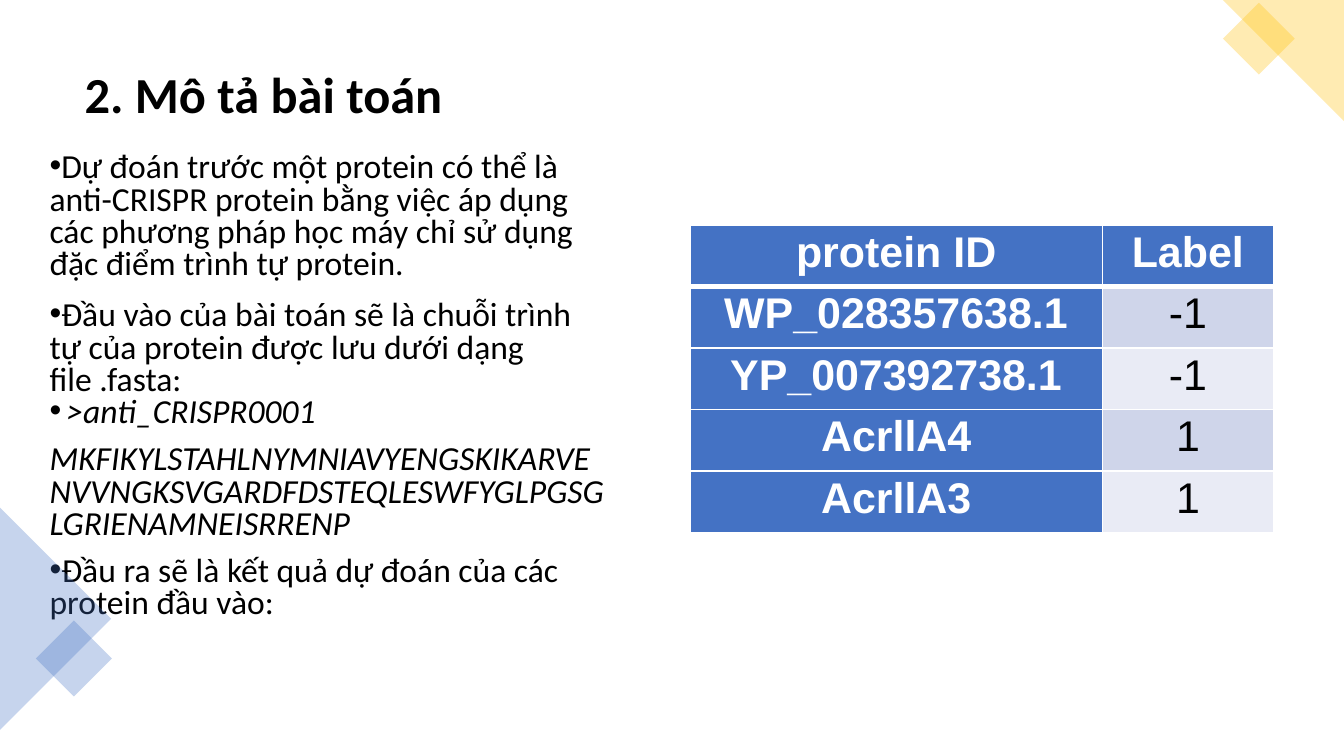
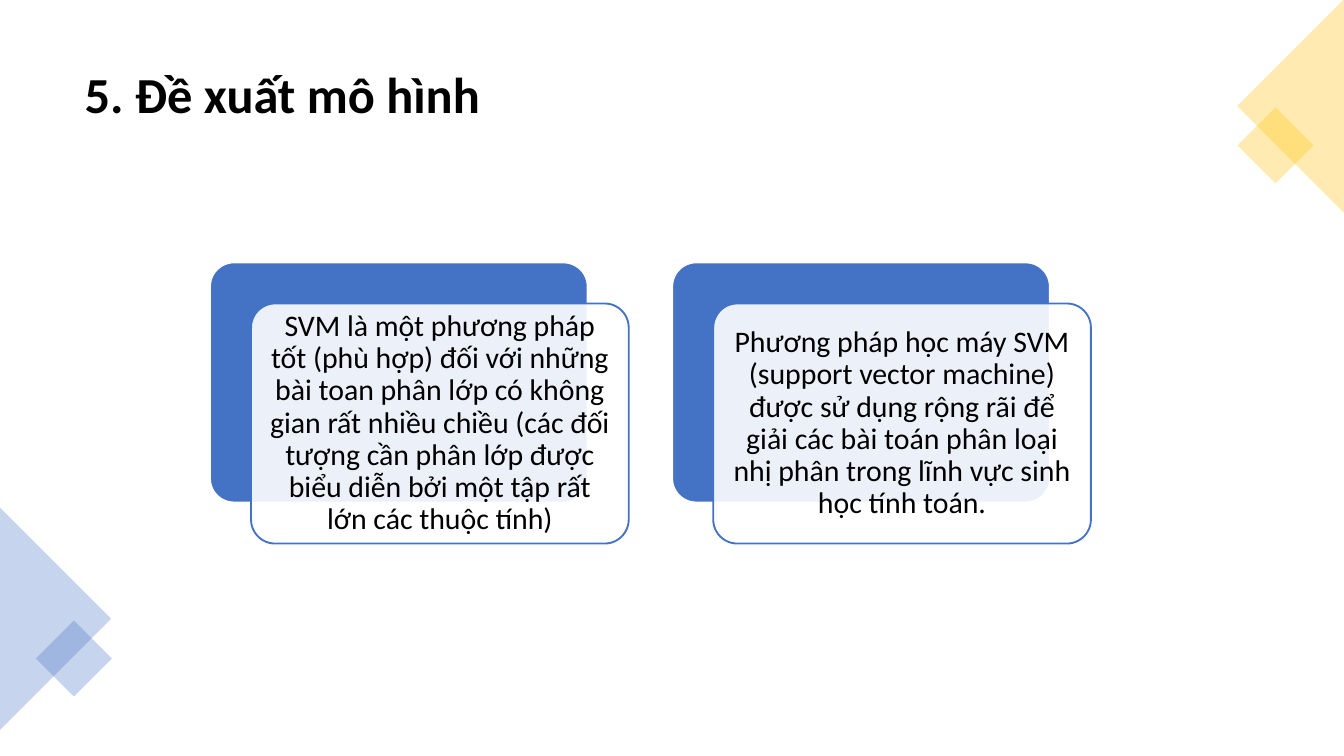
from lxml.etree import SubElement
from pptx import Presentation
from pptx.dml.color import RGBColor
from pptx.enum.shapes import MSO_SHAPE
from pptx.enum.text import MSO_ANCHOR, PP_ALIGN
from pptx.oxml.ns import qn
from pptx.util import Pt

COLORS = {
    "blue": "4472C4", "gold": "FFC000", "white": "FFFFFF", "black": "000000",
    "band_dark": "CFD5EA", "band_light": "E9EBF5",
}
BULLET_INDENT = 18

DESCRIPTION = [
    ("Dự đoán trước một protein có thể là anti-CRISPR protein bằng việc áp dụng các "
     "phương pháp học máy chỉ sử dụng đặc điểm trình tự protein.",
     dict(bullet=True, before=10)),
    ("Đầu vào của bài toán sẽ là chuỗi trình tự của protein được lưu dưới dạng file .fasta:",
     dict(bullet=True, before=10)),
    (">anti_CRISPR0001",
     dict(bullet=True, after=8, level=1, margin=9, italic=True)),
    ("MKFIKYLSTAHLNYMNIAVYENGSKIKARVENVVNGKSVGARDFDSTEQLESWFYGLPGSGLGRIENAMNEISRRENP",
     dict(after=8, level=1, italic=True)),
    ("Đầu ra sẽ là kết quả dự đoán của các protein đầu vào:",
     dict(bullet=True, after=8)),
]
LABELS = [
    ("protein ID", "Label"),
    ("WP_028357638.1", "-1"),
    ("YP_007392738.1", "-1"),
    ("AcrllA4", "1"),
    ("AcrllA3", "1"),
]
REASONS = [
    "SVM là một phương pháp tốt (phù hợp) đối với những bài toan phân lớp có không gian "
    "rất nhiều chiều (các đối tượng cần phân lớp được biểu diễn bởi một tập rất lớn "
    "các thuộc tính)",
    "Phương pháp học máy SVM (support vector machine) được sử dụng rộng rãi để giải các "
    "bài toán phân loại nhị phân trong lĩnh vực sinh học tính toán.",
]


def rgb(color):
    return RGBColor.from_string(COLORS[color])


def points(*lengths):
    return [Pt(length) for length in lengths]


def write(paragraph, text, size=18, font="Calibri", color="black", bold=False,
          italic=False, align=PP_ALIGN.LEFT, spacing=0.9, before=0, after=0,
          level=0, margin=0, bullet=False):
    """Fill one paragraph with one formatted run."""
    paragraph.alignment = align
    paragraph.line_spacing = spacing
    paragraph.space_before = Pt(before)
    paragraph.space_after = Pt(after)
    paragraph.level = level
    properties = paragraph._p.get_or_add_pPr()
    properties.set("marL", str(Pt(margin)))
    properties.set("indent", str(Pt(-BULLET_INDENT if bullet else 0)))
    if bullet:
        SubElement(properties, qn("a:buFont"), typeface="Arial")
        SubElement(properties, qn("a:buChar"), char="•")
    else:
        SubElement(properties, qn("a:buNone"))
    run = paragraph.add_run()
    run.text = text
    run.font.size = Pt(size)
    run.font.name = font
    run.font.bold = bold
    run.font.italic = italic
    run.font.color.rgb = rgb(color)


def add_text_frame(slide, box, anchor=MSO_ANCHOR.TOP):
    frame = slide.shapes.add_textbox(*points(*box)).text_frame
    frame.word_wrap = True
    frame.vertical_anchor = anchor
    return frame


def add_title(slide, text, width):
    frame = add_text_frame(slide, (38.2, 18.7, width, 67), MSO_ANCHOR.MIDDLE)
    write(frame.paragraphs[0], text, size=27, bold=True)


def add_description(slide):
    frame = add_text_frame(slide, (19.5, 78.5, 312.5, 286.5))
    for index, (text, style) in enumerate(DESCRIPTION):
        paragraph = frame.add_paragraph() if index else frame.paragraphs[0]
        write(paragraph, text, spacing=0.8, **style)


def add_figure(slide, preset, box, fill, opacity=100, line=None, adjust=None, rotation=0):
    """Add a preset shape; opacity is in percent."""
    figure = slide.shapes.add_shape(preset, *points(*box))
    figure.shadow.inherit = False
    figure.rotation = rotation
    if adjust is not None:
        figure.adjustments[0] = adjust
    figure.fill.solid()
    figure.fill.fore_color.rgb = rgb(fill)
    if opacity < 100:
        tint = figure._element.spPr.find(qn("a:solidFill"))[0]
        SubElement(tint, qn("a:alpha"), val=str(opacity * 1000))
    if line:
        figure.line.color.rgb = rgb(line)
        figure.line.width = Pt(1)
    else:
        figure.line.fill.background()
    return figure


def add_corner(slide, color, triangle, rotation, diamond, apex=0.5):
    """Add a translucent edge triangle with a small diamond; diamond is left, top, side."""
    left, top, side = diamond
    add_figure(slide, MSO_SHAPE.ISOSCELES_TRIANGLE, triangle, color, opacity=30,
               adjust=apex, rotation=rotation)
    add_figure(slide, MSO_SHAPE.RECTANGLE, (left, top, side, side), color, opacity=30,
               rotation=45)


def add_blue_corner(slide):
    add_corner(slide, "blue", (-29.7, 301.8, 119, 59.5), 90, (25.2, 338.4, 28.8))


def add_cell_borders(cell, top, bottom):
    properties = cell._tc.get_or_add_tcPr()
    for side, width in (("L", 1), ("R", 1), ("T", top), ("B", bottom)):
        border = SubElement(properties, qn(f"a:ln{side}"), w=str(Pt(width)))
        fill = SubElement(border, qn("a:solidFill"))
        SubElement(fill, qn("a:srgbClr"), val=COLORS["white"])


def add_label_table(slide):
    row_height, column_widths = 33, (221, 91.5)
    box = (369.7, 120.4, sum(column_widths), row_height * len(LABELS))
    table = slide.shapes.add_table(len(LABELS), 2, *points(*box)).table
    for column, width in zip(table.columns, column_widths):
        column.width = Pt(width)
    for r, row in enumerate(LABELS):
        table.rows[r].height = Pt(row_height)
        for c, text in enumerate(row):
            cell = table.cell(r, c)
            heading = r == 0 or c == 0
            band = "band_dark" if r % 2 else "band_light"
            add_cell_borders(cell, top=3 if r == 1 else 1, bottom=3 if r == 0 else 1)
            cell.fill.solid()
            cell.fill.fore_color.rgb = rgb("blue" if heading else band)
            cell.margin_left = cell.margin_right = Pt(9.4)
            cell.margin_top = cell.margin_bottom = 0
            write(cell.text_frame.paragraphs[0], text, size=23, font="Arial",
                  color="white" if heading else "black", bold=heading,
                  align=PP_ALIGN.CENTER, spacing=1.07)


def add_reason_card(slide, left, text):
    top, width, height, offset = 140.6, 202.3, 128.6, 22
    add_figure(slide, MSO_SHAPE.ROUNDED_RECTANGLE, (left, top, width, height),
               "blue", line="white", adjust=0.1)
    front = add_figure(slide, MSO_SHAPE.ROUNDED_RECTANGLE,
                       (left + offset, top + offset, width, height),
                       "white", opacity=90, line="blue", adjust=0.1)
    frame = front.text_frame
    frame.word_wrap = True
    frame.vertical_anchor = MSO_ANCHOR.MIDDLE
    frame.margin_left = frame.margin_right = Pt(4.8)
    frame.margin_top = frame.margin_bottom = Pt(4.8)
    write(frame.paragraphs[0], text, size=16, align=PP_ALIGN.CENTER)


def build_problem_slide(slide):
    add_title(slide, "2. Mô tả bài toán", 294)
    add_description(slide)
    add_blue_corner(slide)
    add_corner(slide, "gold", (655.2, 0, 64.8, 64.8), 270, (660.8, 7.2, 27.2), apex=1)
    add_label_table(slide)


def build_model_slide(slide):
    add_title(slide, "5. Đề xuất mô hình", 644)
    for index, reason in enumerate(REASONS):
        add_reason_card(slide, 112.5 + index * 247.6, reason)
    add_blue_corner(slide)
    add_corner(slide, "gold", (634.2, 28.2, 114.4, 57.2), 270, (668.9, 63.5, 28.8))


def main():
    deck = Presentation()
    deck.slide_width, deck.slide_height = points(720, 405)
    blank = deck.slide_layouts[6]
    for build in (build_problem_slide, build_model_slide):
        build(deck.slides.add_slide(blank))
    deck.save("out.pptx")


if __name__ == "__main__":
    main()
